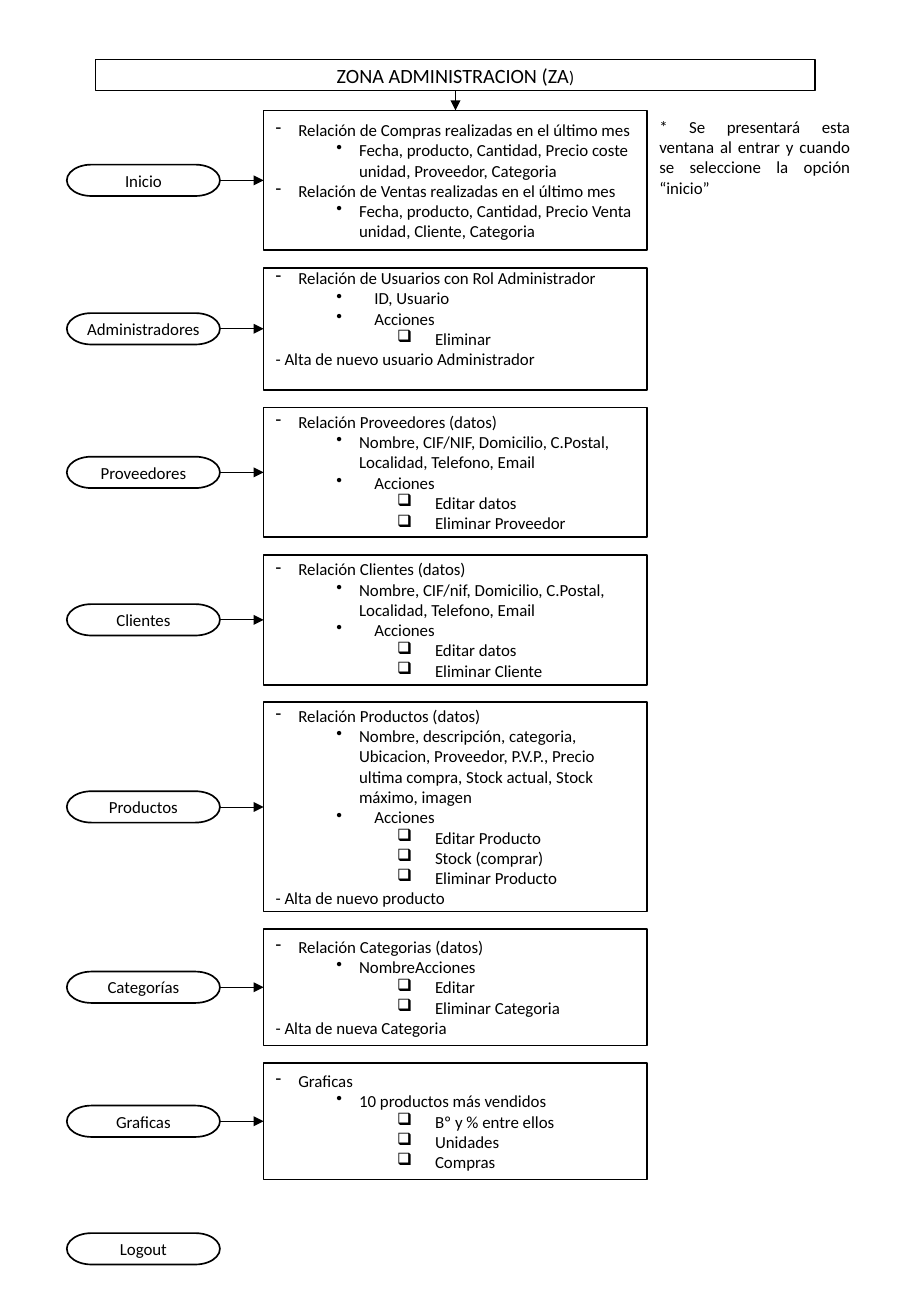
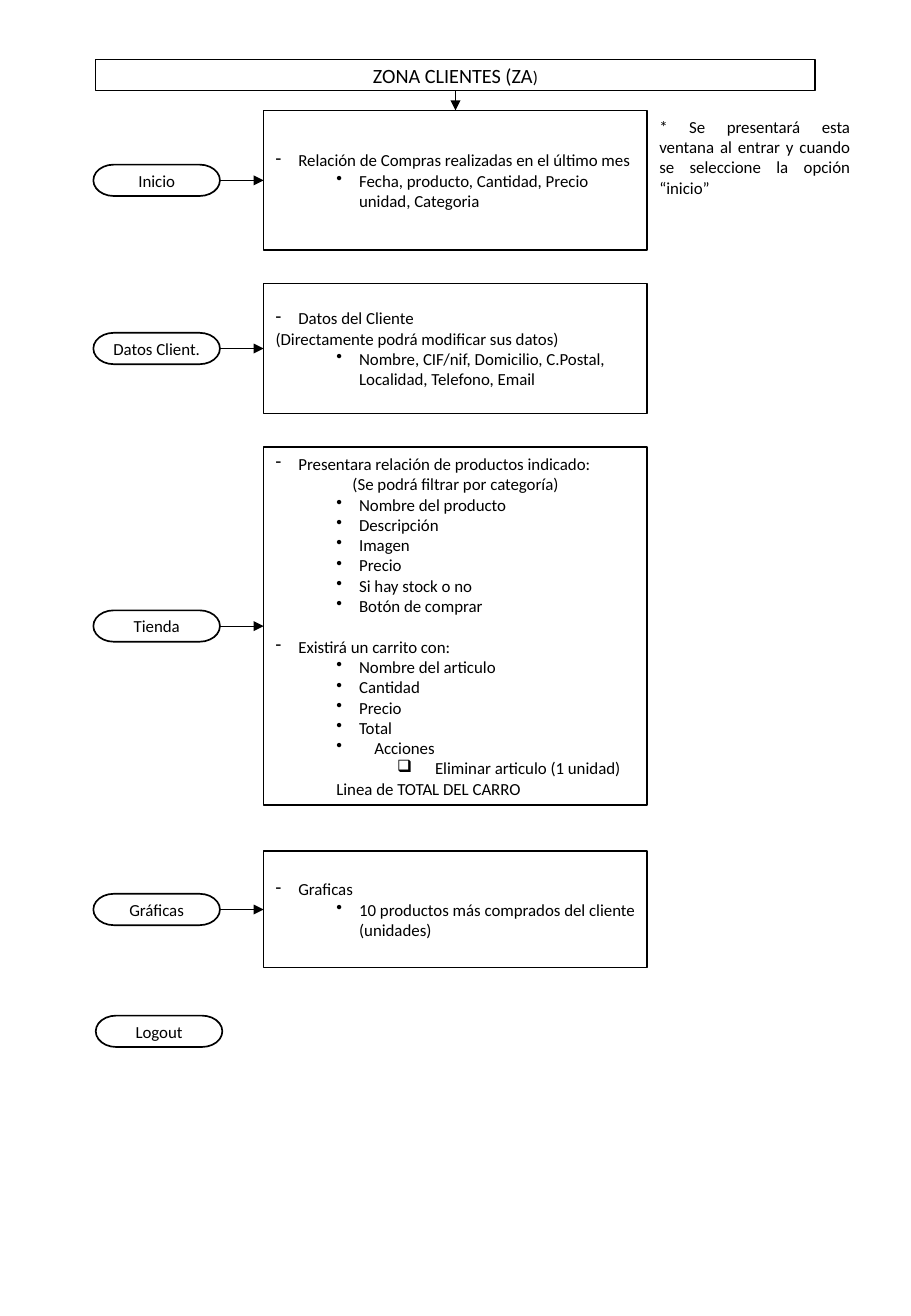
from dataclasses import dataclass

from lxml.etree import SubElement
from pptx import Presentation
from pptx.dml.color import RGBColor
from pptx.enum.shapes import MSO_CONNECTOR as CONN, MSO_SHAPE as SHAPE
from pptx.enum.text import MSO_ANCHOR as ANCHOR, MSO_AUTO_SIZE as FIT, PP_ALIGN as AL
from pptx.oxml.ns import qn
from pptx.shapes.autoshape import Shape
from pptx.slide import Slide
from pptx.text.text import TextFrame
from pptx.util import Pt


@dataclass(frozen=True)
class Theme:
    ink: RGBColor = RGBColor(0, 0, 0)
    paper: RGBColor = RGBColor(255, 255, 255)
    font: str = "Calibri"
    title: float = 12
    body: float = 10
    border: float = 1
    arrow: float = 0.5


@dataclass(frozen=True)
class Style:
    """Paragraph level, left margin, hanging indent, bullet and alignment."""
    level: int = 0
    left: float = 0
    hang: float = 0
    bullet: str = ""
    align: AL = AL.LEFT


@dataclass(frozen=True)
class Item:
    style: Style
    text: str
    before: float = 0


@dataclass(frozen=True)
class Section:
    label: str
    height: float
    items: list[Item]
    extra_gap: float = 0
    foot: float = 0


@dataclass(frozen=True)
class Zone:
    title: str
    pill_x: float
    gap: float
    logout_x: float
    logout_mid: float
    sections: list[Section]


T = Theme()
PLAIN = Style()
CENTER = Style(align=AL.CENTER)
JUSTIFY = Style(align=AL.JUSTIFY)
DASH = Style(0, 13.5, 13.5, "-")
DOT = Style(1, 49.5, 13.5, "•")
WIDE_DOT = Style(1, 58.5, 22.5, "•")
CHECK = Style(2, 94.5, 22.5, "❑")
INDENTED = Style(1, 36)

# Shared layout
PAGE_W, PAGE_H = 540, 780
TITLE_X, TITLE_Y, TITLE_W, TITLE_H = 56.7, 35.2, 426.6, 18.4
BOX_X, BOX_Y, BOX_W = 156.3, 65.5, 227.4
PILL_RIGHT, PILL_H = 130.4, 18.6
INSET, LINE_H = 3.6, 12.2
NOTE = "* Se presentará esta ventana al entrar y cuando se seleccione la opción “inicio”"
CONTACT = "Domicilio, C.Postal, Localidad, Telefono, Email"
ACTIONS = Item(WIDE_DOT, "Acciones")


def items(style: Style, *texts: str) -> list[Item]:
    return [Item(style, text) for text in texts]


ADMIN = Zone("ZONA ADMINISTRACION (ZA", 39.6, 10.4, 39.6, 740.2, [
    Section("Inicio", 82.8, [
        Item(DASH, "Relación de Compras realizadas en el último mes"),
        Item(DOT, "Fecha, producto, Cantidad, Precio coste unidad, Proveedor, Categoria"),
        Item(DASH, "Relación de Ventas realizadas en el último mes"),
        Item(DOT, "Fecha, producto, Cantidad, Precio Venta unidad, Cliente, Categoria"),
    ]),
    Section("Administradores", 72.4, [
        Item(DASH, "Relación de Usuarios con Rol Administrador"),
        Item(WIDE_DOT, "ID, Usuario"),
        ACTIONS,
        Item(CHECK, "Eliminar"),
        Item(PLAIN, "- Alta de nuevo usuario Administrador"),
    ], foot=LINE_H),
    Section("Proveedores", 77, [
        Item(DASH, "Relación Proveedores (datos)"),
        Item(DOT, f"Nombre, CIF/NIF, {CONTACT}"),
        ACTIONS,
        *items(CHECK, "Editar datos", "Eliminar Proveedor"),
    ]),
    Section("Clientes", 77, [
        Item(DASH, "Relación Clientes (datos)"),
        Item(DOT, f"Nombre, CIF/nif, {CONTACT}"),
        ACTIONS,
        *items(CHECK, "Editar datos", "Eliminar Cliente"),
    ]),
    Section("Productos", 124, [
        Item(DASH, "Relación Productos (datos)"),
        Item(DOT, "Nombre, descripción, categoria, Ubicacion, Proveedor, P.V.P., "
                  "Precio ultima compra, Stock actual, Stock máximo, imagen"),
        ACTIONS,
        *items(CHECK, "Editar Producto", "Stock (comprar)", "Eliminar Producto"),
        Item(PLAIN, "- Alta de nuevo producto"),
    ]),
    Section("Categorías", 69, [
        Item(DASH, "Relación Categorias (datos)"),
        Item(DOT, "NombreAcciones"),
        *items(CHECK, "Editar", "Eliminar Categoria"),
        Item(PLAIN, "- Alta de nueva Categoria"),
    ]),
    Section("Graficas", 69, [
        Item(DASH, "Graficas"),
        Item(DOT, "10 productos más vendidos"),
        *items(CHECK, "Bº y % entre ellos", "Unidades", "Compras"),
    ]),
])

CLIENTS = Zone("ZONA CLIENTES (ZA", 55.4, 19.8, 56.8, 611.3, [
    Section("Inicio", 82.8, [
        Item(DASH, "Relación de Compras realizadas en el último mes"),
        Item(DOT, "Fecha, producto, Cantidad, Precio unidad, Categoria"),
    ]),
    Section("Datos Client.", 77, [
        Item(DASH, "Datos del Cliente"),
        Item(PLAIN, "(Directamente podrá modificar sus datos)"),
        Item(DOT, f"Nombre, CIF/nif, {CONTACT}"),
    ]),
    Section("Tienda", 212.4, [
        Item(DASH, "Presentara relación de productos indicado:"),
        Item(CENTER, "(Se podrá filtrar por categoría)"),
        *items(DOT, "Nombre del producto", "Descripción", "Imagen", "Precio",
               "Si hay stock o no", "Botón de comprar"),
        Item(DASH, "Existirá un carrito con:", before=LINE_H),
        *items(DOT, "Nombre del articulo", "Cantidad", "Precio", "Total"),
        ACTIONS,
        Item(CHECK, "Eliminar articulo (1 unidad)"),
        Item(INDENTED, "Linea de TOTAL DEL CARRO"),
    ]),
    Section("Gráficas", 69, [
        Item(DASH, "Graficas"),
        Item(DOT, "10 productos más comprados del cliente (unidades)"),
    ], extra_gap=7.5),
])


def add_text(tf: TextFrame, text: str, *, style: Style = CENTER, size: float = T.body,
             before: float = 0, same_line: bool = False) -> None:
    """Write text in a new paragraph, or carry on the last one."""
    p = tf.paragraphs[-1]
    if p.runs and not same_line:
        p = tf.add_paragraph()
    p.alignment, p.level = style.align, style.level
    if before:
        p.space_before = Pt(before)
    pPr = p._p.get_or_add_pPr()
    pPr.set("marL", str(Pt(style.left)))
    pPr.set("indent", str(-Pt(style.hang)))
    if style.bullet and not same_line:
        SubElement(pPr, qn("a:buChar")).set("char", style.bullet)
    r = p.add_run()
    r.text = text
    r.font.name, r.font.size = T.font, Pt(size)
    r.font.color.rgb = T.ink


def add_box(s: Slide, kind: SHAPE, x: float, y: float, w: float, h: float) -> Shape:
    sp = s.shapes.add_shape(kind, Pt(x), Pt(y), Pt(w), Pt(h))
    sp.shadow.inherit = False
    sp.fill.solid()
    sp.fill.fore_color.rgb = T.paper
    sp.line.color.rgb = T.ink
    sp.line.width = Pt(T.border)
    sp.text_frame.word_wrap = True
    sp.text_frame.vertical_anchor = ANCHOR.MIDDLE
    return sp


def add_pill(s: Slide, label: str, x: float, mid: float, w: float) -> None:
    sp = add_box(s, SHAPE.FLOWCHART_TERMINATOR, x, mid - PILL_H / 2, w, PILL_H)
    add_text(sp.text_frame, label)


def add_arrow(s: Slide, x1: float, y1: float, x2: float, y2: float) -> None:
    c = s.shapes.add_connector(CONN.STRAIGHT, Pt(x1), Pt(y1), Pt(x2), Pt(y2))
    c.line.color.rgb = T.ink
    c.line.width = Pt(T.arrow)
    SubElement(c.line._get_or_add_ln(), qn("a:tailEnd")).set("type", "triangle")
    SubElement(c._element.spPr, qn("a:effectLst"))


def add_section(s: Slide, section: Section, y: float, pill_x: float) -> None:
    mid = y + section.height / 2
    tf = add_box(s, SHAPE.RECTANGLE, BOX_X, y, BOX_W, section.height).text_frame
    tf.margin_bottom = Pt(INSET + section.foot)
    for item in section.items:
        add_text(tf, item.text, style=item.style, before=item.before)
    add_pill(s, section.label, pill_x, mid, PILL_RIGHT - pill_x)
    add_arrow(s, PILL_RIGHT, mid, BOX_X, mid)


def add_zone(s: Slide, zone: Zone) -> None:
    # Title bar
    tf = add_box(s, SHAPE.RECTANGLE, TITLE_X, TITLE_Y, TITLE_W, TITLE_H).text_frame
    add_text(tf, zone.title, size=T.title)
    add_text(tf, ")", same_line=True)
    add_arrow(s, PAGE_W / 2, TITLE_Y + TITLE_H, PAGE_W / 2, BOX_Y)

    # Menu options and their windows
    y = BOX_Y
    for section in zone.sections:
        y += section.extra_gap
        add_section(s, section, y, zone.pill_x)
        y += section.height + zone.gap
    add_pill(s, "Logout", zone.logout_x, zone.logout_mid, PILL_RIGHT - zone.pill_x)

    # Side note
    note = s.shapes.add_textbox(Pt(BOX_X + BOX_W), Pt(BOX_Y), Pt(127.2), Pt(55.6))
    note.text_frame.word_wrap = True
    note.text_frame.auto_size = FIT.SHAPE_TO_FIT_TEXT
    add_text(note.text_frame, NOTE, style=JUSTIFY)


prs = Presentation()
prs.slide_width, prs.slide_height = Pt(PAGE_W), Pt(PAGE_H)
for zone in (ADMIN, CLIENTS):
    add_zone(prs.slides.add_slide(prs.slide_layouts[6]), zone)
prs.save("out.pptx")
